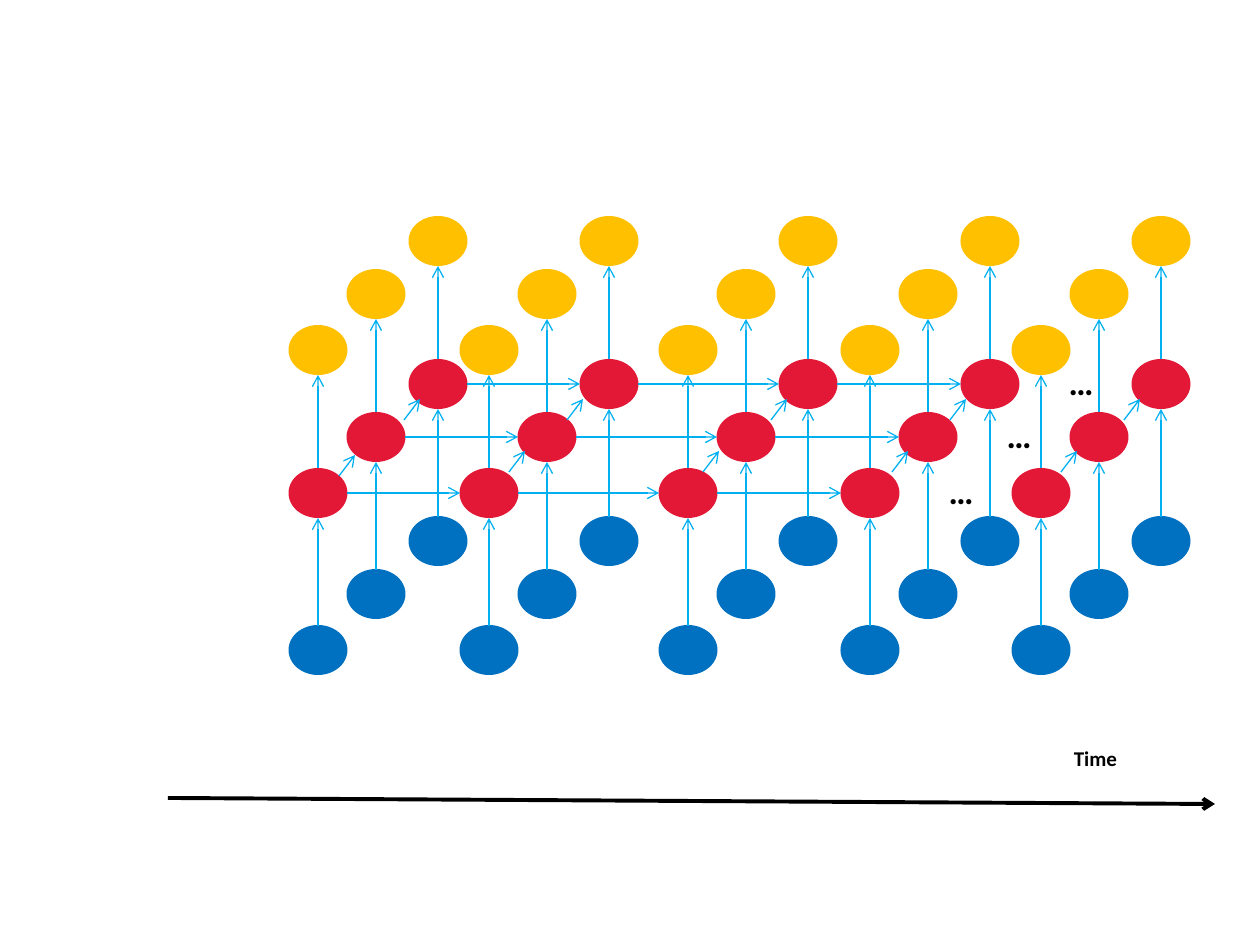
"""Draw a layered recurrent network unrolled along a time axis."""
from dataclasses import dataclass

from lxml import etree
from pptx import Presentation
from pptx.dml.color import RGBColor
from pptx.enum.shapes import MSO_CONNECTOR, MSO_SHAPE
from pptx.enum.text import MSO_AUTO_SIZE, PP_ALIGN
from pptx.oxml.ns import qn
from pptx.shapes.shapetree import SlideShapes
from pptx.util import Emu, Pt

STRAIGHT = MSO_CONNECTOR.STRAIGHT
OVAL = MSO_SHAPE.OVAL
GROW = MSO_AUTO_SIZE.SHAPE_TO_FIT_TEXT
CENTER = PP_ALIGN.CENTER

EMU_PER_PX = 914400 / 126
FONT = "Calibri"
BLACK, SKY = "000000", "00B0F0"
INPUT_BLUE, HIDDEN_RED, OUTPUT_GOLD = "0070C0", "E31837", "FFC000"

NODE_W, NODE_H = 50, 59
INPUT_DROP, OUTPUT_RISE = 157, -143
INPUT_ARROW = (133, 25)
OUTPUT_ARROW = (-25, -118)
RECURRENT_GAP = 29
STEP_OFFSETS = (0, 171, 370, 552, 723)
ELLIPSIS_DX, ELLIPSIS_DY = 607, -24
LAYER_ARROW_DX, LAYER_ARROW_DY = 16, -21


@dataclass(frozen=True)
class Layer:
    """Centre of a layer's first hidden node and the starts of its arrows to the next layer."""
    x: int
    y: int
    layer_arrows: tuple[tuple[int, int], ...] = ()


@dataclass(frozen=True)
class Label:
    """Bold centred text in a box."""
    text: str
    left: int
    top: int
    width: int
    height: int
    size: int


LAYERS = (
    Layer(438, 384),
    Layer(376, 437, ((404, 420), (567, 420), (771, 420), (950, 420), (1124, 420))),
    Layer(318, 493, ((339, 476), (509, 472), (703, 472), (892, 472), (1061, 472))),
)


def px(length: float) -> Emu:
    """Turn pixels into EMU."""
    return Emu(round(length * EMU_PER_PX))


def rgb(value: str) -> RGBColor:
    """Turn a hex string into a colour."""
    return RGBColor.from_string(value)


def draw_arrow(shapes: SlideShapes, start: tuple[int, int], end: tuple[int, int],
               color: str = SKY, weight: float = 0.75) -> None:
    """Draw a straight line with an open arrowhead at its end."""
    arrow = shapes.add_connector(STRAIGHT, *map(px, start + end))
    arrow.line.color.rgb = rgb(color)
    arrow.line.width = Pt(weight)
    etree.SubElement(arrow.line._get_or_add_ln(), qn("a:tailEnd"), type="arrow")
    etree.SubElement(arrow._element.spPr, qn("a:effectLst"))


def draw_node(shapes: SlideShapes, x: int, y: int, color: str) -> None:
    """Draw one node centred on a point."""
    node = shapes.add_shape(OVAL, px(x - NODE_W / 2), px(y - NODE_H / 2), px(NODE_W), px(NODE_H))
    node.rotation = 270
    node.shadow.inherit = False
    node.fill.solid()
    node.fill.fore_color.rgb = rgb(color)
    node.line.fill.background()


def draw_label(shapes: SlideShapes, label: Label) -> None:
    """Draw a label."""
    box = shapes.add_textbox(px(label.left), px(label.top), px(label.width), px(label.height))
    frame = box.text_frame
    frame.margin_left = frame.margin_right = frame.margin_top = frame.margin_bottom = 0
    frame.word_wrap = True
    frame.auto_size = GROW
    frame.text = label.text
    paragraph = frame.paragraphs[0]
    paragraph.alignment = CENTER
    font = paragraph.runs[0].font
    font.name, font.size, font.bold = FONT, Pt(label.size), True
    font.color.rgb = rgb(BLACK)


def draw_layer(shapes: SlideShapes, layer: Layer) -> None:
    """Draw a layer's nodes at every time step with their arrows."""
    columns = [layer.x + offset for offset in STEP_OFFSETS]
    for x in columns:
        draw_node(shapes, x, layer.y + INPUT_DROP, INPUT_BLUE)
        draw_node(shapes, x, layer.y, HIDDEN_RED)
        draw_node(shapes, x, layer.y + OUTPUT_RISE, OUTPUT_GOLD)
        for start, end in (INPUT_ARROW, OUTPUT_ARROW):
            draw_arrow(shapes, (x, layer.y + start), (x, layer.y + end))
    for here, following in zip(columns[:-2], columns[1:]):
        draw_arrow(shapes, (here + RECURRENT_GAP, layer.y), (following - RECURRENT_GAP, layer.y))
    draw_label(shapes, Label("…", layer.x + ELLIPSIS_DX, layer.y + ELLIPSIS_DY, 72, 43, 20))


def main() -> None:
    """Build and save the slide."""
    deck = Presentation()
    deck.slide_width, deck.slide_height = px(1260), px(945)
    shapes = deck.slides.add_slide(deck.slide_layouts[6]).shapes
    draw_arrow(shapes, (168, 798), (1215, 804), BLACK, 2.25)
    draw_label(shapes, Label("Time", 1050, 746, 91, 25, 12))
    for layer in LAYERS:
        draw_layer(shapes, layer)
    for layer in LAYERS:
        for x, y in layer.layer_arrows:
            draw_arrow(shapes, (x, y), (x + LAYER_ARROW_DX, y + LAYER_ARROW_DY))
    deck.save("out.pptx")


if __name__ == "__main__":
    main()
